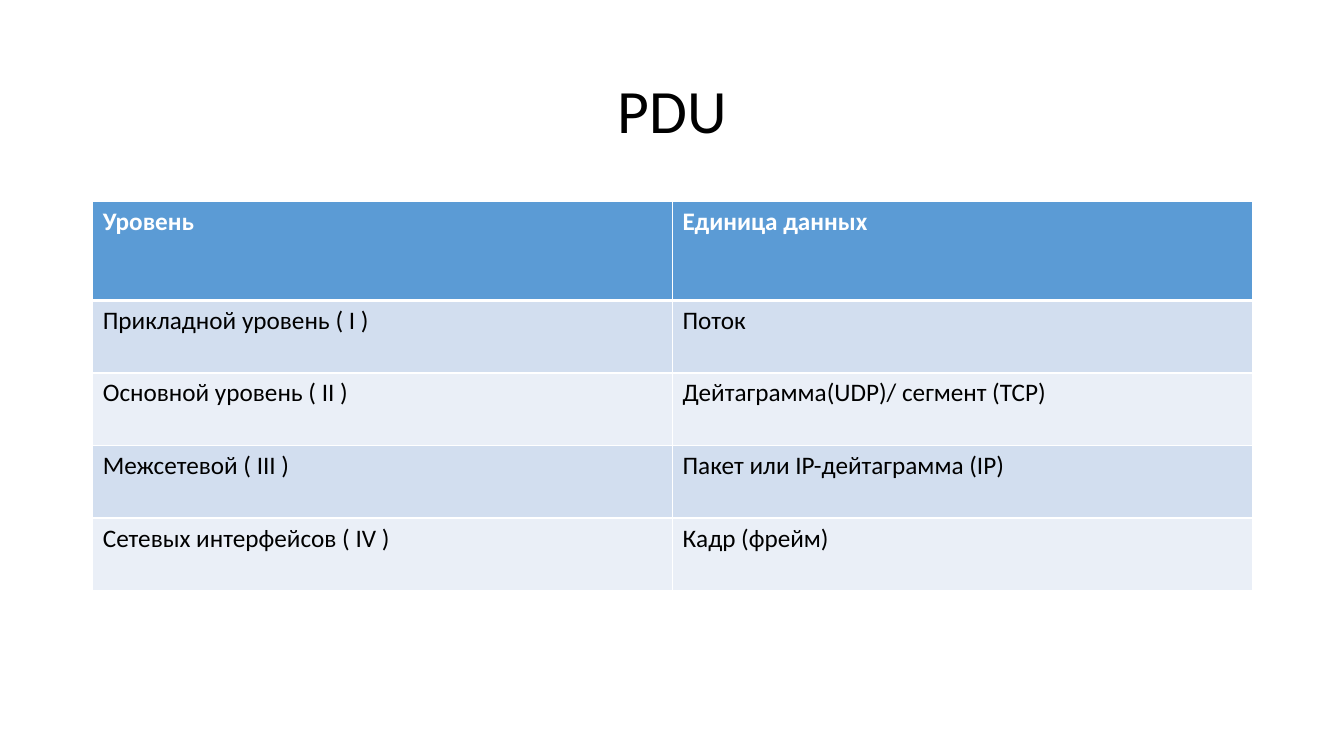
"""Build the PDU slide: a title and a table of network levels."""
from dataclasses import dataclass

from lxml import etree
from pptx import Presentation
from pptx import util as u
from pptx.dml.color import RGBColor
from pptx.enum import text
from pptx.oxml.ns import qn

PX = 9144


@dataclass(frozen=True)
class Theme:
    """Colours, font and type sizes of the slide."""
    font: str = "Calibri"
    ink: str = "000000"
    paper: str = "FFFFFF"
    header: str = "5B9BD5"
    bands: tuple = ("D2DEEF", "EAEFF7")
    title_size: int = 44
    cell_size: int = 18
    rule: int = 1
    header_rule: int = 3


THEME = Theme()
ROWS = [
    ("Уровень", "Единица данных"),
    ("Прикладной уровень ( I )", "Поток"),
    ("Основной уровень ( II )", "Дейтаграмма(UDP)/ сегмент (TCP)"),
    ("Межсетевой ( III )", "Пакет или IP-дейтаграмма (IP)"),
    ("Сетевых интерфейсов ( IV )", "Кадр (фрейм)"),
]


def px(length):
    """Turn whole px into EMU."""
    return u.Emu(length * PX)


def assign(target, values):
    """Set each named attribute of the target."""
    for name, value in values.items():
        setattr(target, name, value)


def write(frame, words, size, colour, bold=False):
    """Put one formatted span into a text frame and return its paragraph."""
    para = frame.paragraphs[0]
    span = para.add_run()
    span.text = words
    assign(span.font, {"name": THEME.font, "size": u.Pt(size), "bold": bold})
    span.font.color.rgb = RGBColor.from_string(colour)
    return para


def add_title(page, words):
    """Place and fill the title placeholder."""
    box = page.shapes.title
    assign(box, {"left": px(92), "top": px(40), "width": px(1150), "height": px(145)})
    assign(box.text_frame, {"vertical_anchor": text.MSO_ANCHOR.MIDDLE, "word_wrap": True})
    para = write(box.text_frame, words, THEME.title_size, THEME.ink)
    assign(para, {"alignment": text.PP_ALIGN.CENTER, "line_spacing": 0.9})


def add_borders(cell, widths):
    """Draw solid cell borders from a dict of side and width in points."""
    properties = cell._tc.get_or_add_tcPr()
    for side, width in widths.items():
        line = etree.SubElement(properties, qn(f"a:ln{side}"), w=str(u.Pt(width)))
        fill = etree.SubElement(line, qn("a:solidFill"))
        etree.SubElement(fill, qn("a:srgbClr"), val=THEME.paper)


def format_cell(cell, words, row):
    """Fill one cell as a header or a banded body cell."""
    is_header = row == 0
    top = THEME.header_rule if row == 1 else THEME.rule
    bottom = THEME.header_rule if is_header else THEME.rule
    add_borders(cell, {"L": THEME.rule, "R": THEME.rule, "T": top, "B": bottom})
    cell.fill.solid()
    colour = THEME.header if is_header else THEME.bands[(row - 1) % 2]
    cell.fill.fore_color.rgb = RGBColor.from_string(colour)
    ink = THEME.paper if is_header else THEME.ink
    write(cell.text_frame, words, THEME.cell_size, ink, is_header)


def add_level_table(page):
    """Add the table of levels and their data units."""
    frame = page.shapes.add_table(
        len(ROWS), len(ROWS[0]), px(92), px(200), px(1150), px(386))
    table = frame.table
    for row, words in enumerate(ROWS):
        table.rows[row].height = px(72 if row else 98)
        for column, entry in enumerate(words):
            format_cell(table.cell(row, column), entry, row)


def main():
    """Build and save the deck."""
    deck = Presentation()
    assign(deck, {"slide_width": px(1333), "slide_height": px(750)})
    page = deck.slides.add_slide(deck.slide_layouts.get_by_name("Title Only"))
    add_title(page, "PDU")
    add_level_table(page)
    deck.save("out.pptx")


if __name__ == "__main__":
    main()
